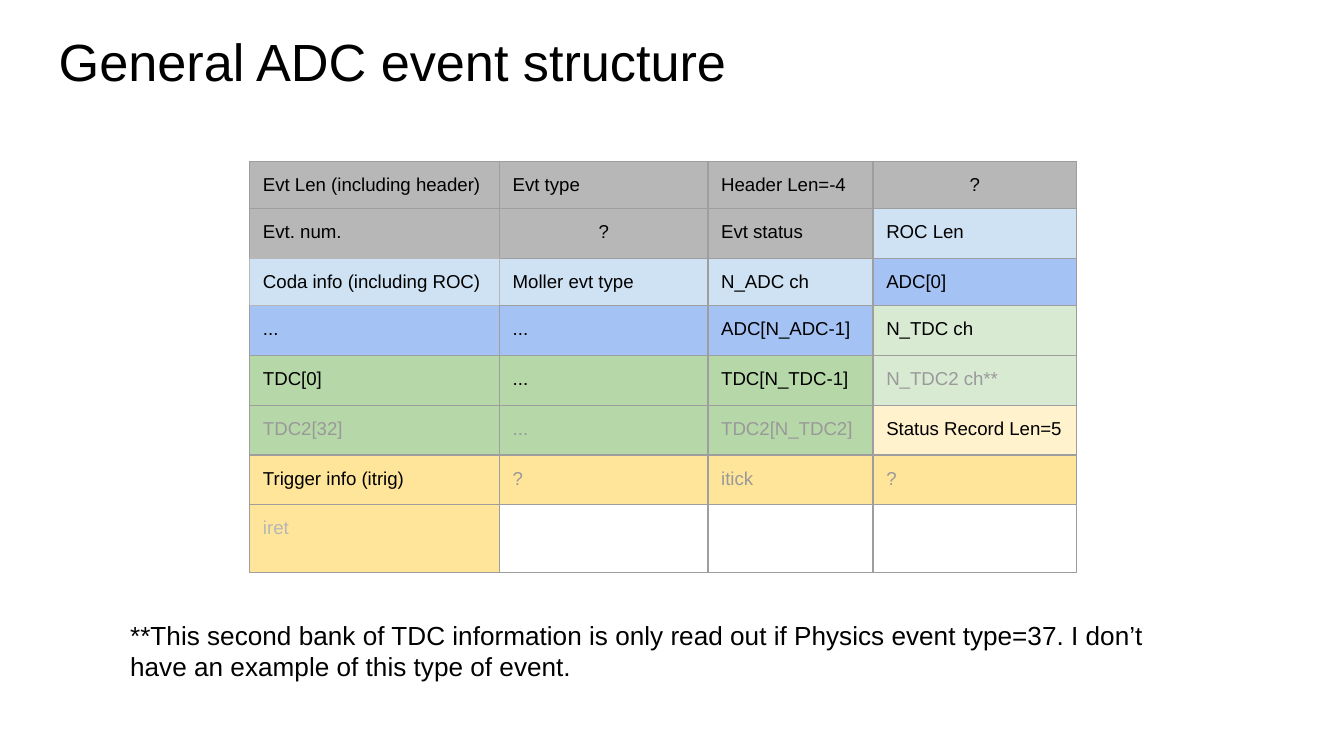
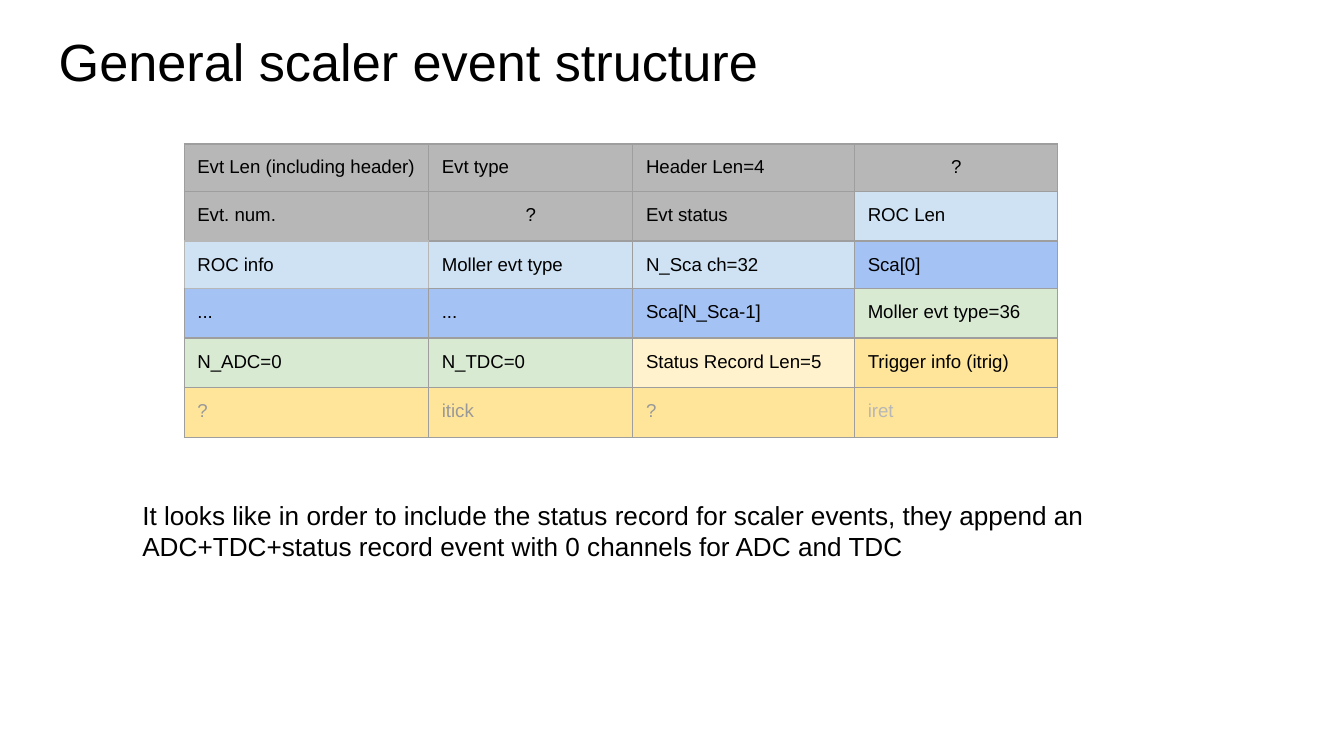
import itertools
from dataclasses import dataclass

import pptx
import pptx.dml.color
import pptx.enum.text
import pptx.oxml
import pptx.oxml.ns
import pptx.util

Cm = pptx.util.Cm
Pt = pptx.util.Pt
ALIGN = pptx.enum.text.PP_ALIGN
ANCHOR = pptx.enum.text.MSO_ANCHOR


@dataclass(frozen=True)
class Theme:
    font: str = "Arial"
    title_size: int = 28
    note_size: int = 14
    cell_size: int = 10
    ink: str = "000000"
    muted: str = "999999"
    faint: str = "B7B7B7"
    background: str = "FFFFFF"
    edge: str = "9E9E9E"
    pale_edge: str = "B7B7B7"
    edge_width: float = 0.75
    inset: float = 0.25
    header: str = "B7B7B7"
    bank: str = "CFE2F3"
    bank_data: str = "A4C2F4"
    count: str = "D9EAD3"
    count_data: str = "B6D7A8"
    status: str = "FFF2CC"
    status_data: str = "FFE599"


THEME = Theme()
SIDES = {"left": "a:lnL", "right": "a:lnR", "top": "a:lnT", "bottom": "a:lnB"}
# The cell at row 2, column 0 has pale edges, shared with its neighbours.
PALE_SIDES = {
    (2, 0): set(SIDES),
    (1, 0): {"bottom"},
    (3, 0): {"top"},
    (2, 1): {"left"},
}
ROW_HEIGHTS = [0.76, 0.94, 0.84] + [0.94] * 5


def rgb(value):
    return pptx.dml.color.RGBColor.from_string(value)


class Deck:
    def __init__(self, theme):
        self.theme = theme
        self.presentation = pptx.Presentation()
        self.presentation.slide_width = Cm(25.4)
        self.presentation.slide_height = Cm(14.29)
        self.slide = None

    def add_slide(self, title):
        layout = self.presentation.slide_layouts[5]
        self.slide = self.presentation.slides.add_slide(layout)
        fill = self.slide.background.fill
        fill.solid()
        fill.fore_color.rgb = rgb(self.theme.background)
        shape = self.slide.shapes.title
        box = {"left": 0.86, "top": 0.3, "width": 23.67, "height": 1.6}
        for name, value in box.items():
            setattr(shape, name, Cm(value))
        self.fill_frame(shape.text_frame, title, self.theme.title_size)

    def fill_frame(self, frame, text, size):
        self.set_insets(frame)
        settings = {
            "word_wrap": True,
            "vertical_anchor": ANCHOR.TOP,
            "auto_size": pptx.enum.text.MSO_AUTO_SIZE.NONE,
        }
        for name, value in settings.items():
            setattr(frame, name, value)
        self.format_paragraph(frame.paragraphs[0], text, size, self.theme.ink)

    def set_insets(self, target):
        for side in SIDES:
            setattr(target, f"margin_{side}", Cm(self.theme.inset))

    def format_paragraph(self, paragraph, text, size, color, align=ALIGN.LEFT):
        paragraph.alignment = align
        run = paragraph.add_run()
        run.text = text
        font = {"name": self.theme.font, "size": Pt(size), "bold": False}
        for name, value in font.items():
            setattr(run.font, name, value)
        run.font.color.rgb = rgb(color)

    def add_note(self, text, left, top, width):
        shape = self.slide.shapes.add_textbox(Cm(left), Cm(top), Cm(width), Cm(1.37))
        self.fill_frame(shape.text_frame, text, self.theme.note_size)

    def add_event_table(self, left, top, widths, blocks):
        """Lay the words of (fill, text colour, words) blocks out row by row."""
        words = [(fill, color, word) for fill, color, group in blocks for word in group]
        row_count = -(-len(words) // len(widths))
        heights = ROW_HEIGHTS[:row_count]
        table = self.slide.shapes.add_table(
            row_count, len(widths), Cm(left), Cm(top), Cm(sum(widths)), Cm(sum(heights))
        ).table
        table.first_row = table.horz_banding = False
        for column, width in zip(table.columns, widths):
            column.width = Cm(width)
        for row, height in zip(table.rows, heights):
            row.height = Cm(height)
        places = itertools.product(range(row_count), range(len(widths)))
        for place, word in itertools.zip_longest(places, words):
            cell = table.cell(*place)
            self.set_insets(cell)
            self.draw_edges(cell, PALE_SIDES.get(place, set()))
            if word:
                self.fill_cell(cell, *word)
            else:
                cell.fill.background()

    def fill_cell(self, cell, fill, color, text):
        cell.fill.solid()
        cell.fill.fore_color.rgb = rgb(fill)
        centred = text == "?" and fill == self.theme.header
        align = ALIGN.CENTER if centred else ALIGN.LEFT
        paragraph = cell.text_frame.paragraphs[0]
        self.format_paragraph(paragraph, text, self.theme.cell_size, color, align)

    def draw_edges(self, cell, pale_sides):
        properties = cell._tc.get_or_add_tcPr()
        for side, tag in SIDES.items():
            color = self.theme.pale_edge if side in pale_sides else self.theme.edge
            properties.append(pptx.oxml.parse_xml(
                f'<{tag} {pptx.oxml.ns.nsdecls("a")} w="{Pt(self.theme.edge_width)}">'
                f'<a:solidFill><a:srgbClr val="{color}"/></a:solidFill></{tag}>'
            ))


def header_block(length):
    words = ["Evt Len (including header)", "Evt type", f"Header Len={length}", "?",
             "Evt. num.", "?", "Evt status"]
    return THEME.header, THEME.ink, words


STATUS_BLOCKS = [
    (THEME.status, THEME.ink, ["Status Record Len=5"]),
    (THEME.status_data, THEME.ink, ["Trigger info (itrig)"]),
    (THEME.status_data, THEME.muted, ["?", "itick", "?"]),
    (THEME.status_data, THEME.faint, ["iret"]),
]


def add_adc_slide(deck):
    deck.add_slide("General ADC event structure")
    deck.add_event_table(4.72, 3.05, [4.72, 3.94, 3.12, 3.84], [
        header_block(-4),
        (THEME.bank, THEME.ink,
         ["ROC Len", "Coda info (including ROC)", "Moller evt type", "N_ADC ch"]),
        (THEME.bank_data, THEME.ink, ["ADC[0]", "...", "...", "ADC[N_ADC-1]"]),
        (THEME.count, THEME.ink, ["N_TDC ch"]),
        (THEME.count_data, THEME.ink, ["TDC[0]", "...", "TDC[N_TDC-1]"]),
        (THEME.count, THEME.muted, ["N_TDC2 ch**"]),
        (THEME.count_data, THEME.muted, ["TDC2[32]", "...", "TDC2[N_TDC2]"]),
        *STATUS_BLOCKS,
    ])
    deck.add_note(
        "**This second bank of TDC information is only read out if Physics event "
        "type=37. I don’t have an example of this type of event.",
        2.21, 11.46, 20.75,
    )


def add_scaler_slide(deck):
    deck.add_slide("General scaler event structure")
    deck.add_event_table(3.48, 2.72, [4.62, 3.86, 4.19, 3.84], [
        header_block(4),
        (THEME.bank, THEME.ink,
         ["ROC Len", "ROC info", "Moller evt type", "N_Sca ch=32"]),
        (THEME.bank_data, THEME.ink, ["Sca[0]", "...", "...", "Sca[N_Sca-1]"]),
        (THEME.count, THEME.ink, ["Moller evt type=36", "N_ADC=0", "N_TDC=0"]),
        *STATUS_BLOCKS,
    ])
    deck.add_note(
        "It looks like in order to include the status record for scaler events, they "
        "append an ADC+TDC+status record event with 0 channels for ADC and TDC",
        2.44, 9.19, 20.09,
    )


def main():
    deck = Deck(THEME)
    add_adc_slide(deck)
    add_scaler_slide(deck)
    deck.presentation.save("out.pptx")


if __name__ == "__main__":
    main()
